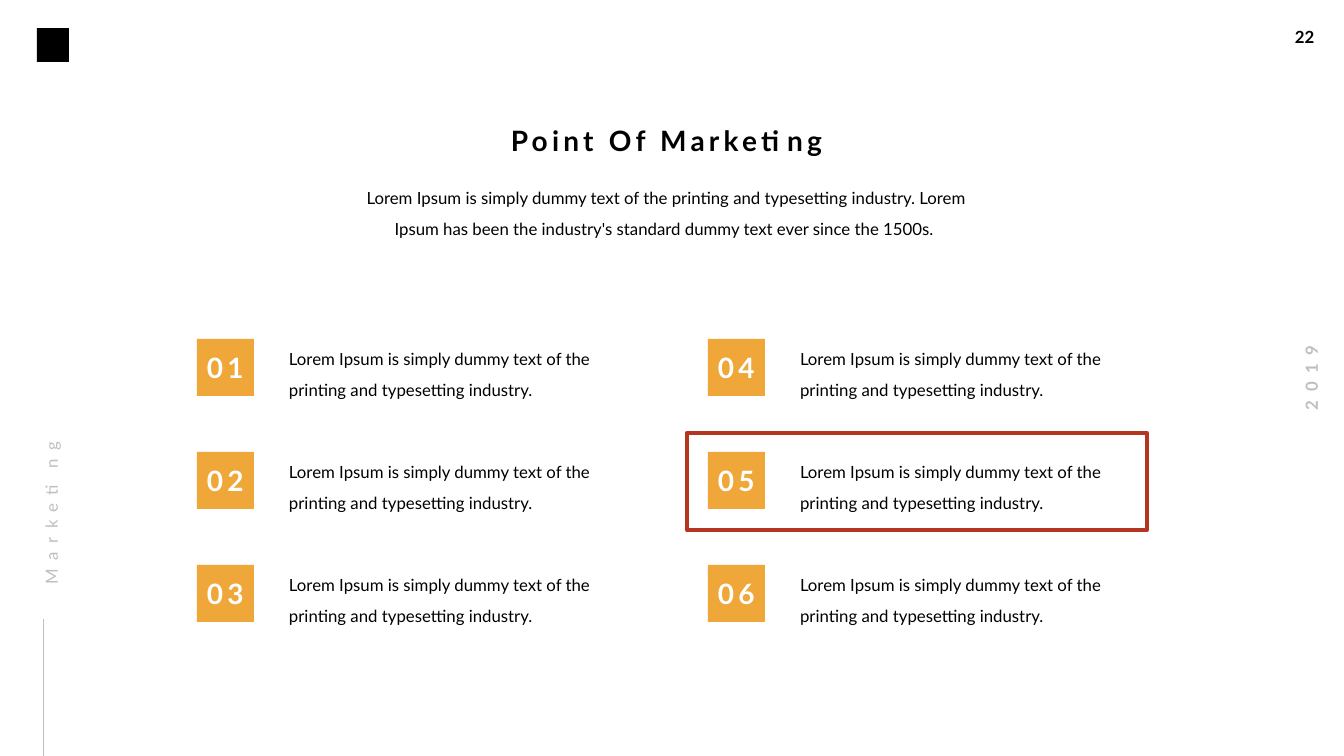
from pptx import Presentation
from pptx.dml.color import RGBColor
from pptx.enum.shapes import MSO_CONNECTOR, MSO_SHAPE
from pptx.enum.text import MSO_AUTO_SIZE, PP_ALIGN
from pptx.oxml import parse_xml
from pptx.oxml.ns import nsdecls
from pptx.util import Emu, Pt

# Content
TITLE = "Point Of Marketing"
INTRO = (
    "Lorem Ipsum is simply dummy text of the printing and typesetting industry. "
    "Lorem Ipsum has been the industry's standard dummy text ever since the 1500s. "
)
POINT = "Lorem Ipsum is simply dummy text of the printing and typesetting industry."
POINTS = [("01", POINT), ("02", POINT), ("03", POINT),
          ("04", POINT), ("05", POINT), ("06", POINT)]
SECTION, YEAR, PAGE = "Marketing", "2019", "22"

# Colours and text formats
BLACK, WHITE, GREY = "000000", "FFFFFF", "BFBFBF"
AMBER, RED = "EEA738", "B33720"
HEADING = {"size": Pt(20), "bold": True}
BODY = {"size": Pt(12), "bold": False}
MARGIN_NOTE = {"size": Pt(12), "bold": True}
AFTER_GAP = {"space_before": Pt(12)}
OPEN_LINES = {"space_before": Pt(12), "line_spacing": 1.5}
CENTRED = {"alignment": PP_ALIGN.CENTER}
TIGHT = (0, 0, 10, 0)
PADDED = (10, 5, 10, 5)

# Grid of points, in px
ROWS = 3
GRID_LEFT, GRID_TOP = 197, 339
COLUMN_STEP, ROW_STEP = 511, 113
BADGE = 57


def px(length):
    return Emu(round(length * 914400 / 100.8))


def colour(hex_string):
    return RGBColor.from_string(hex_string)


def apply(target, values):
    for name, value in values.items():
        setattr(target, name, value)


def add_text(text, box, font, ink, paragraph=None, insets=TIGHT,
             spacing=0, wrap=True, rotation=0):
    holder = slide.shapes.add_textbox(*map(px, box))
    holder.rotation = rotation
    frame = holder.text_frame
    sides = ("margin_left", "margin_top", "margin_right", "margin_bottom")
    apply(frame, dict(zip(sides, map(px, insets))))
    apply(frame, {"word_wrap": wrap, "auto_size": MSO_AUTO_SIZE.SHAPE_TO_FIT_TEXT})
    line = frame.paragraphs[0]
    apply(line, paragraph or {})
    run = line.add_run()
    run.text = text
    apply(run.font, {"name": "Lato", **font})
    run.font.color.rgb = colour(ink)
    if spacing:
        run._r.get_or_add_rPr().set("spc", str(spacing * 100))


def add_box(box, fill=None, outline=None, weight=0):
    shape = slide.shapes.add_shape(MSO_SHAPE.RECTANGLE, *map(px, box))
    shape.shadow.inherit = False
    if fill:
        shape.fill.solid()
        shape.fill.fore_color.rgb = colour(fill)
    else:
        shape.fill.background()
    if outline:
        shape.line.color.rgb = colour(outline)
        shape.line.width = Pt(weight)
    else:
        shape.line.fill.background()


deck = Presentation()
deck.slide_width, deck.slide_height = px(1344), px(756)
slide = deck.slides.add_slide(deck.slide_layouts[6])

# Page margins: emblem block, page number, year
add_box((37, 28, 32, 34), fill=BLACK)
add_text(PAGE, (1285, 22, 41, 30), MARGIN_NOTE, BLACK, insets=PADDED, wrap=False)
add_text(YEAR, (1264, 363, 94, 30), MARGIN_NOTE, GREY, CENTRED,
         insets=PADDED, spacing=6, wrap=False, rotation=270)

# Title and introduction
add_text(INTRO, (347, 178, 649, 57), BODY, BLACK, {**OPEN_LINES, **CENTRED})
add_text(TITLE, (495, 123, 353, 34), HEADING, BLACK, {**AFTER_GAP, **CENTRED}, spacing=3)

# Numbered points, filled column by column
for index, (number, point) in enumerate(POINTS):
    column, row = divmod(index, ROWS)
    left = GRID_LEFT + column * COLUMN_STEP
    top = GRID_TOP + row * ROW_STEP
    add_text(point, (left + 92, top, 348, 57), BODY, BLACK, OPEN_LINES)
    add_box((left, top, BADGE, BADGE), fill=AMBER)
    add_text(number, (left + 10, top + 11, BADGE, 34), HEADING, WHITE,
             AFTER_GAP, spacing=3)

# Section label with its rule
rule = slide.shapes.add_connector(
    MSO_CONNECTOR.STRAIGHT, *map(px, (43, 756, 43, 619)))
rule.line.color.rgb = colour(GREY)
rule.line.width = Pt(0.5)
rule._element.spPr.append(parse_xml(f"<a:effectLst {nsdecls('a')}/>"))
add_text(SECTION, (-49, 478, 186, 26), BODY, GREY, OPEN_LINES, spacing=6, rotation=270)

# Frame around the highlighted point
add_box((687, 433, 460, 97), outline=RED, weight=3)

deck.save("out.pptx")
